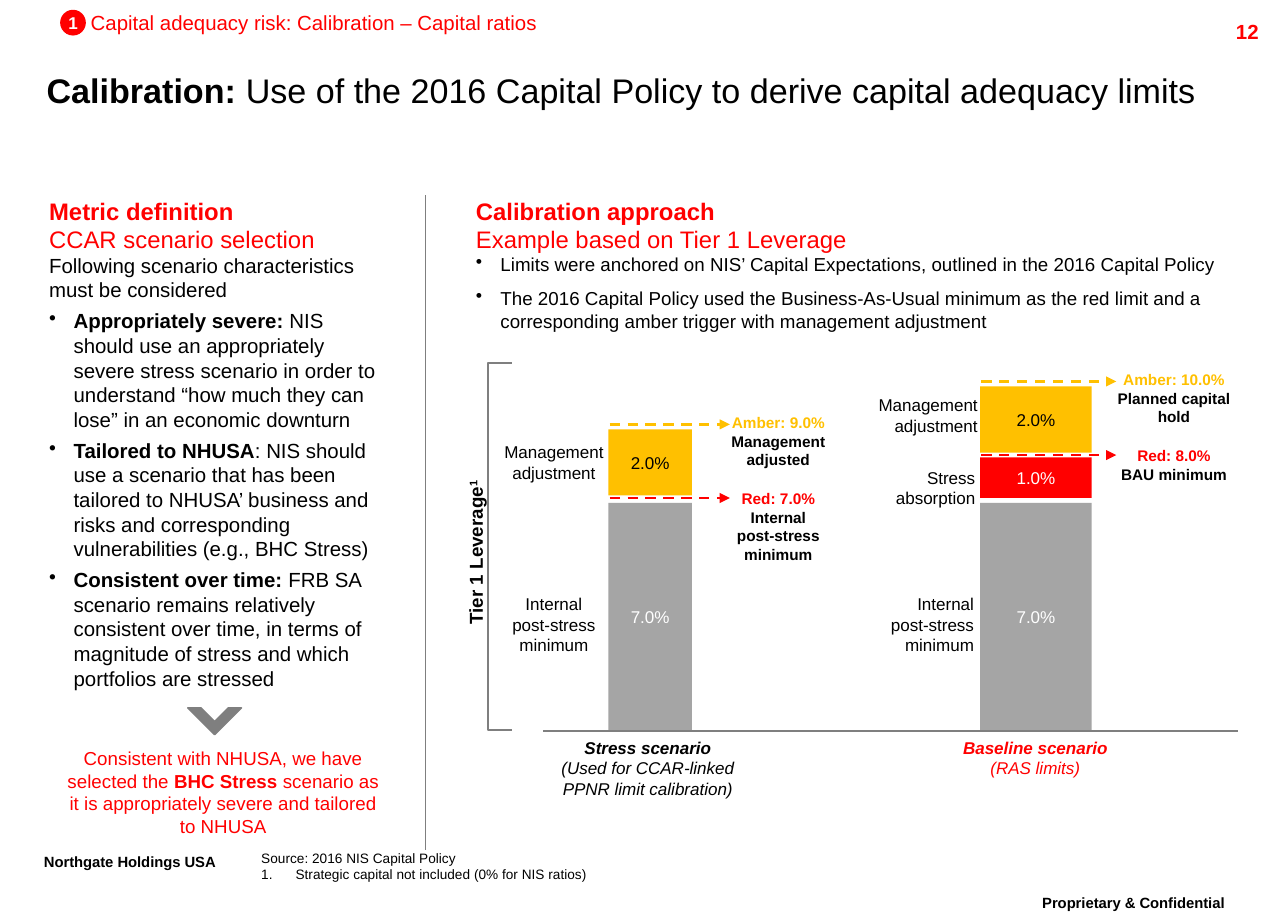
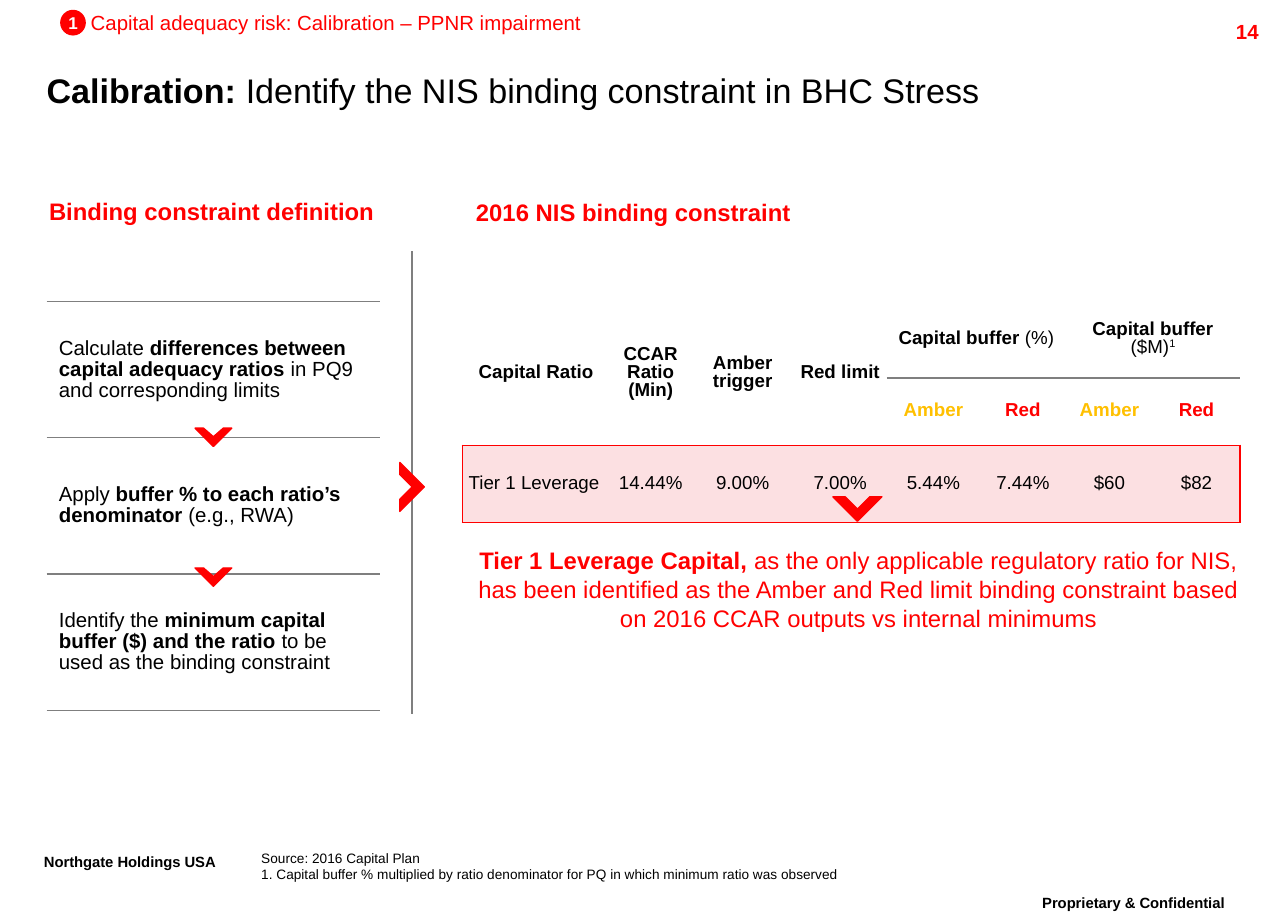
"""Builds two capital adequacy calibration slides."""
import lxml.etree
import pptx
import pptx.dml.color
import pptx.enum.dml
import pptx.enum.shapes
import pptx.enum.text
import pptx.oxml.ns
import pptx.util

RED = pptx.dml.color.RGBColor(0xFF, 0x00, 0x00)
AMBER = pptx.dml.color.RGBColor(0xFF, 0xC0, 0x00)
BLACK = pptx.dml.color.RGBColor(0x00, 0x00, 0x00)
WHITE = pptx.dml.color.RGBColor(0xFF, 0xFF, 0xFF)
GREY = pptx.dml.color.RGBColor(0x7F, 0x7F, 0x7F)
BAR_GREY = pptx.dml.color.RGBColor(0xA5, 0xA5, 0xA5)
PINK = pptx.dml.color.RGBColor(0xFC, 0xE0, 0xE2)
LEFT, CENTER, RIGHT = (pptx.enum.text.PP_ALIGN.LEFT, pptx.enum.text.PP_ALIGN.CENTER,
                       pptx.enum.text.PP_ALIGN.RIGHT)
TOP, MIDDLE = pptx.enum.text.MSO_ANCHOR.TOP, pptx.enum.text.MSO_ANCHOR.MIDDLE
SHAPE = pptx.enum.shapes.MSO_SHAPE
FONT = "Arial"
EMU_PER_PX = 9144
NO_GRID = "{2D5ABB26-0587-4C30-8999-92F81FD0307C}"


def px(n):
    return pptx.util.Emu(round(n * EMU_PER_PX))


def add(parent, tag, **attrs):
    return lxml.etree.SubElement(parent, pptx.oxml.ns.qn(tag), attrs)


class Deck:
    def __init__(self):
        self.prs = pptx.Presentation()
        self.prs.slide_width, self.prs.slide_height = px(1050), px(750)

    def slide(self, number, section, title, source, numbered_from=None):
        self.s = self.prs.slides.add_slide(self.prs.slide_layouts[5])
        sp = self.s.shapes.title
        sp.left, sp.top, sp.width, sp.height = px(38), px(49), px(948), px(48)
        self.frame(sp.text_frame, [[("Calibration: ", "b"), title]], 20, anchor=MIDDLE)
        badge = self.shape(SHAPE.OVAL, 49, 8, 21, 21, RED)
        self.frame(badge.text_frame, ["1"], 10, WHITE, CENTER, "b", anchor=MIDDLE)
        badge.text_frame.word_wrap = False
        self.text(74, 8, 500, 20, [section], 12, RED)
        self.text(936, 11, 100, 24, [str(number)], 12, RED, RIGHT, "b", inset=(10, 5))
        self.text(815, 725, 218, 35, ["Proprietary & Confidential"], 15, align=CENTER,
                  flags="b^", inset=(10, 5), spacing=0.86)
        self.text(26, 691, 191, 35, ["Northgate Holdings USA"], 15,
                  flags="b^", inset=(10, 5), spacing=0.86)
        self.text(213, 693, 606, 27, source, 8, bullet_from=numbered_from,
                  bullet=("a:buAutoNum", {"type": "arabicPeriod"}), indent=28)

    def frame(self, tf, paras, size, color=BLACK, align=LEFT, flags="", inset=(0, 0),
              anchor=TOP, **layout):
        tf.word_wrap = True
        tf.auto_size = pptx.enum.text.MSO_AUTO_SIZE.NONE
        tf.vertical_anchor = anchor
        tf.margin_left = tf.margin_right = px(inset[0])
        tf.margin_top = tf.margin_bottom = px(inset[1])
        self.paragraphs(tf, paras, size, color, align, flags, **layout)

    def paragraphs(self, tf, paras, size, color, align, flags, gap=0, spacing=None,
                   bullet_from=None, bullet=("a:buChar", {"char": "•"}), indent=20):
        for i, para in enumerate(paras):
            p = tf.paragraphs[0] if i == 0 else tf.add_paragraph()
            p.alignment = align
            if gap and i:
                p.space_before = pptx.util.Pt(gap)
            if spacing:
                p.line_spacing = spacing
            if bullet_from is not None and i >= bullet_from:
                pPr = p._p.get_or_add_pPr()
                pPr.set("marL", str(px(indent)))
                pPr.set("indent", str(-px(indent)))
                add(pPr, bullet[0], **bullet[1])
            for run in [para] if isinstance(para, str) else para:
                self.run(p, run, size, color, flags)

    def run(self, p, run, size, color, flags):
        if isinstance(run, str):
            run = (run, flags)
        r = p.add_run()
        r.text = run[0]
        r.font.name, r.font.size = FONT, pptx.util.Pt(size)
        r.font.bold, r.font.italic = "b" in run[1], "i" in run[1]
        r.font.color.rgb = run[2] if len(run) > 2 else color
        if "^" in run[1]:
            r._r.get_or_add_rPr().set("baseline", "30000")

    def text(self, x, y, w, h, paras, size, *args, **kwargs):
        sp = self.s.shapes.add_textbox(px(x), px(y), px(w), px(h))
        self.frame(sp.text_frame, paras, size, *args, **kwargs)
        return sp

    def shape(self, kind, x, y, w, h, fill):
        sp = self.s.shapes.add_shape(kind, px(x), px(y), px(w), px(h))
        sp.shadow.inherit = False
        sp.fill.solid()
        sp.fill.fore_color.rgb = fill
        sp.line.fill.background()
        return sp

    def bar(self, x, y, w, h, fill, label, color):
        sp = self.shape(SHAPE.RECTANGLE, x, y, w, h, fill)
        self.frame(sp.text_frame, [label], 10, color, CENTER, anchor=MIDDLE)

    def bracket(self, x, y, w, h):
        sp = self.shape(SHAPE.LEFT_BRACKET, x, y, w, h, WHITE)
        sp.adjustments[0] = 0
        sp.fill.background()
        sp.line.color.rgb, sp.line.width = GREY, pptx.util.Pt(1)

    def line(self, x1, y1, x2, y2, color=GREY, width=0.75, arrow=False):
        c = self.s.shapes.add_connector(pptx.enum.shapes.MSO_CONNECTOR.STRAIGHT,
                                        px(x1), px(y1), px(x2), px(y2))
        c.line.color.rgb, c.line.width = color, pptx.util.Pt(width)
        spPr = c._element.spPr
        if arrow:
            c.line.dash_style = pptx.enum.dml.MSO_LINE.DASH
            add(spPr.find(pptx.oxml.ns.qn("a:ln")), "a:tailEnd", type="triangle")
        add(spPr, "a:effectLst")

    def chevron(self, x, y, half, color=RED, right=False):
        outline = [(-1, 0), (-0.5, 0), (0, 0.5), (0.5, 0), (1, 0), (0, 1)]
        pts = [(x + half * (d if right else a), y + half * (a if right else d))
               for a, d in outline]
        fb = self.s.shapes.build_freeform(*pts[0], scale=EMU_PER_PX)
        fb.add_line_segments(pts[1:], close=True)
        sp = fb.convert_to_shape()
        sp.shadow.inherit = False
        sp.fill.solid()
        sp.fill.fore_color.rgb = sp.line.color.rgb = color
        sp.line.width = pptx.util.Pt(0.75)

    def table(self, x, y, cols, rows):
        tbl = self.s.shapes.add_table(len(rows), len(cols), px(x), px(y),
                                      px(sum(cols)), px(sum(rows))).table
        tbl.first_row = tbl.horz_banding = False
        tbl._tbl.tblPr.find(pptx.oxml.ns.qn("a:tableStyleId")).text = NO_GRID
        for col, w in zip(tbl.columns, cols):
            col.width = px(w)
        for row, h in zip(tbl.rows, rows):
            row.height = px(h)
        return tbl

    def cell(self, cell, paras, size, color=BLACK, align=CENTER, flags="", fill=WHITE,
             inset=(5, 0), spacing=0.86):
        cell.vertical_anchor = MIDDLE
        cell.margin_left = cell.margin_right = px(inset[0])
        cell.margin_top = cell.margin_bottom = px(inset[1])
        cell.fill.solid()
        cell.fill.fore_color.rgb = fill
        self.paragraphs(cell.text_frame, paras, size, color, align, flags, spacing=spacing)

    def borders(self, cell, sides, color, width=1):
        tcPr = cell._tc.get_or_add_tcPr()
        for side in sides:
            ln = add(tcPr, "a:ln" + side, w=str(pptx.util.Pt(width)))
            add(add(ln, "a:solidFill"), "a:srgbClr", val=str(color))


def capital_ratios(deck):
    deck.slide(12, "Capital adequacy risk: Calibration – Capital ratios",
               "Use of the 2016 Capital Policy to derive capital adequacy limits",
               ["Source: 2016 NIS Capital Policy",
                "Strategic capital not included (0% for NIS ratios)"], 1)
    for x, w, head, sub in [(40, 302, "Metric definition", "CCAR scenario selection"),
                            (388, 621, "Calibration approach",
                             "Example based on Tier 1 Leverage")]:
        deck.text(x, 160, w, 47, [[(head, "b")], sub], 14, RED)
    deck.text(40, 206, 275, 361, [
        "Following scenario characteristics must be considered",
        [("Appropriately severe:", "b"),
         " NIS should use an appropriately severe stress scenario in order to understand "
         "“how much they can lose” in an economic downturn"],
        [("Tailored to NHUSA", "b"),
         ": NIS should use a scenario that has been tailored to NHUSA’ business and risks "
         "and corresponding vulnerabilities (e.g., BHC Stress)"],
        [("Consistent over time: ", "b"),
         "FRB SA scenario remains relatively consistent over time, in terms of magnitude "
         "of stress and which portfolios are stressed"]], 12, gap=4, bullet_from=1)
    deck.chevron(175, 577, 22, GREY)
    deck.text(44, 604, 276, 84, [[
        "Consistent with NHUSA, we have selected the ", ("BHC Stress ", "b"),
        "scenario as it is appropriately severe and tailored to NHUSA"]],
        11, RED, CENTER, inset=(10, 5))
    deck.line(347, 159, 347, 693)
    deck.text(388, 206, 623, 65, [
        "Limits were anchored on NIS’ Capital Expectations, outlined in the 2016 Capital Policy",
        "The 2016 Capital Policy used the Business-As-Usual minimum as the red limit and a "
        "corresponding amber trigger with management adjustment"], 11, gap=7, bullet_from=0)

    deck.bracket(398, 296, 19, 299)
    axis = deck.text(252, 436, 272, 29, [["Tier 1 Leverage", ("1", "b^")]], 11,
                     align=CENTER, flags="b", inset=(10, 5))
    axis.rotation = 270
    for x, w, amber_top in [(496, 68, 350), (799, 91, 315)]:
        deck.bar(x, 410, w, 186, BAR_GREY, "7.0%", WHITE)
        deck.bar(x, amber_top, w, 54, AMBER, "2.0%", BLACK)
    deck.bar(799, 373, 91, 33, RED, "1.0%", WHITE)
    deck.line(443, 596, 1009, 596)
    for x1, x2, y, color in [(497, 595, 346, AMBER), (497, 595, 406, RED),
                             (800, 910, 311, AMBER), (800, 910, 371, RED)]:
        deck.line(x1, y, x2, y, color, 1.5, arrow=True)
    for x, y, w, color, limit, meaning in [
            (548, 337, 173, AMBER, "Amber: 9.0%", ["Management", "adjusted"]),
            (548, 399, 173, RED, "Red: 7.0%", ["Internal", "post-stress", "minimum"]),
            (903, 302, 108, AMBER, "Amber: 10.0%", ["Planned capital", "hold"]),
            (903, 364, 108, RED, "Red: 8.0%", ["BAU minimum"])]:
        deck.text(x, y, w, 15 * (1 + len(meaning)), [[(limit, "b", color)], *meaning], 9,
                  align=CENTER, flags="b")
    for x, y, w, align, lines in [
            (399, 360, 105, CENTER, ["Management adjustment"]),
            (408, 484, 87, CENTER, ["Internal", "post-stress minimum"]),
            (671, 322, 126, RIGHT, ["Management adjustment"]),
            (710, 381, 85, RIGHT, ["Stress", "absorption"]),
            (708, 484, 86, RIGHT, ["Internal", "post-stress minimum"])]:
        deck.text(x, y, w, 34, lines, 10, align=align)
    for x, w, color, name, use in [
            (440, 176, BLACK, "Stress scenario",
             "(Used for CCAR-linked PPNR limit calibration)"),
            (781, 126, RED, "Baseline scenario", "(RAS limits)")]:
        deck.text(x, 601, w, 50, [[(name, "bi")], use], 10, color, CENTER, "i")


def binding_constraint(deck):
    deck.slide(14, "Capital adequacy risk: Calibration – PPNR impairment",
               "Identify the NIS binding constraint in BHC Stress",
               ["Source: 2016 Capital Plan",
                "1. Capital buffer % multiplied by ratio denominator for PQ in which "
                "minimum ratio was observed"])
    deck.text(40, 160, 310, 37, ["Binding constraint definition"], 14, RED, flags="b")
    deck.text(388, 161, 575, 30, ["2016 NIS binding constraint"], 14, RED, flags="b")
    deck.line(336, 205, 336, 582, width=1)

    steps = deck.table(38, 246, [272], [111] * 3)
    for i, runs in enumerate([
            ["Calculate ", ("differences between capital adequacy ratios", "b"),
             " in PQ9 and corresponding limits"],
            ["Apply ", ("buffer % to each ratio’s denominator", "b"), " (e.g., RWA)"],
            ["Identify the ", ("minimum capital buffer ($) and the ratio ", "b"),
             "to be used as the binding constraint"]]):
        deck.borders(steps.cell(i, 0), "TB", GREY, 0.75)
        deck.cell(steps.cell(i, 0), [runs], 12, align=LEFT, inset=(10, 5), spacing=0.92)
    for y in (349, 463):
        deck.chevron(174, y, 15)
    deck.chevron(326, 397, 20, right=True)

    ratios = deck.table(377, 245, [120, 67, 83, 76, 76, 70, 71, 71], [63, 55, 63])
    for c in range(4, 8):
        deck.borders(ratios.cell(0, c), "B", GREY)
        deck.borders(ratios.cell(1, c), "TB", GREY)
    for c, head in enumerate([["Capital Ratio"], ["CCAR Ratio", "(Min)"],
                              ["Amber trigger"], ["Red limit"]]):
        ratios.cell(0, c).merge(ratios.cell(1, c))
        deck.cell(ratios.cell(0, c), head, 11, flags="b")
    for c, unit in [(4, [("(%)", "")]), (6, [("($M)", ""), ("1", "^")])]:
        ratios.cell(0, c).merge(ratios.cell(0, c + 1))
        deck.cell(ratios.cell(0, c), [["Capital buffer ", *unit]], 11, flags="b")
        deck.cell(ratios.cell(1, c), ["Amber"], 11, AMBER, flags="b")
        deck.cell(ratios.cell(1, c + 1), ["Red"], 11, RED, flags="b")
    values = ["Tier 1 Leverage", "14.44%", "9.00%", "7.00%", "5.44%", "7.44%", "$60", "$82"]
    for c, value in enumerate(values):
        sides = {0: "LTB", 7: "RTB"}.get(c, "TB")
        deck.borders(ratios.cell(2, c), sides, RED)
        deck.cell(ratios.cell(2, c), [value], 11, align=CENTER if c else LEFT, fill=PINK,
                  inset=(0 if c else 5, 0))
    deck.chevron(699, 405, 20)
    deck.text(388, 445, 624, 71, [[
        ("Tier 1 Leverage Capital, ", "b"),
        "as the only applicable regulatory ratio for NIS, has been identified as the Amber "
        "and Red limit binding constraint based on 2016 CCAR outputs vs internal minimums"]],
        14, RED, CENTER)


def main():
    deck = Deck()
    capital_ratios(deck)
    binding_constraint(deck)
    deck.prs.save("out.pptx")


if __name__ == "__main__":
    main()
